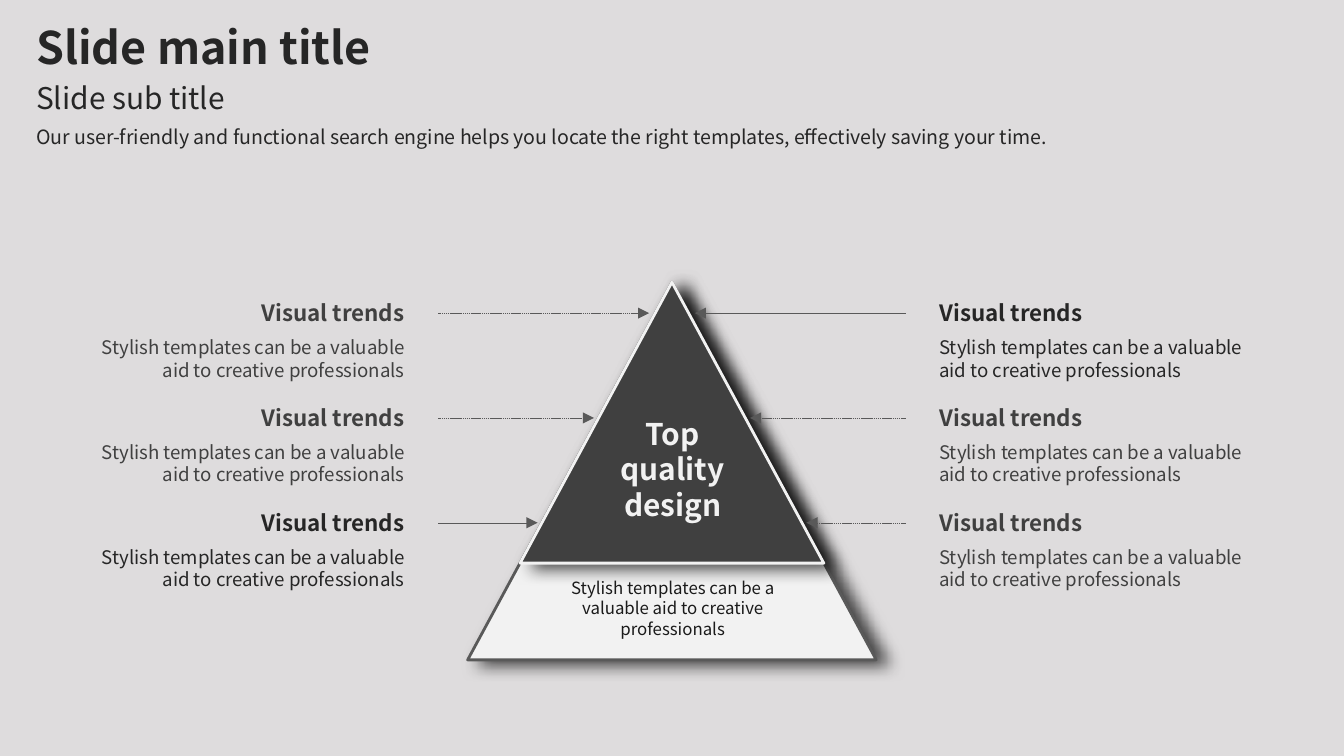
"""Build a pyramid slide with six labelled arrows."""
from lxml import etree
from pptx import Presentation
from pptx import util as u
from pptx.dml.color import RGBColor
from pptx.enum import dml, shapes, text
from pptx.oxml.ns import qn

FONT = "Noto Sans CJK KR"
COLORS = {
    "page": "DEDCDD",
    "pale": "F2F2F2",
    "dark": "404040",
    "strong": "262626",
    "ink": "1B1B1B",
    "line": "595959",
    "shadow": "000000",
}
LEFT, CENTER, RIGHT = text.PP_ALIGN.LEFT, text.PP_ALIGN.CENTER, text.PP_ALIGN.RIGHT
HEADING = "Visual trends"
BODY = "Stylish templates can be a valuable aid to creative professionals"
ROW_TOP, ROW_STEP = 2.25, 0.78
ARROW_REACH = (1.57, 1.16, 0.74)
SIDES = (
    {"edge": 3.01, "start": 3.26, "direction": 1, "align": RIGHT, "strong_row": 2},
    {"edge": 6.99, "start": 6.74, "direction": -1, "align": LEFT, "strong_row": 0},
)


def color(name):
    """Return the named colour."""
    return RGBColor.from_string(COLORS[name])


def add_text(page, words, left, top, width, height, size=10, ink="strong",
             bold=False, align=LEFT, middle=False, spacing=None):
    """Add a text box without margins."""
    box = page.shapes.add_textbox(
        u.Inches(left), u.Inches(top), u.Inches(width), u.Inches(height))
    frame = box.text_frame
    frame.word_wrap = True
    frame.margin_left = frame.margin_right = frame.margin_top = frame.margin_bottom = 0
    frame.vertical_anchor = text.MSO_ANCHOR.MIDDLE if middle else text.MSO_ANCHOR.TOP
    para = frame.paragraphs[0]
    para.alignment = align
    if spacing:
        para.line_spacing = spacing
    span = para.add_run()
    span.text = words
    span.font.name = FONT
    span.font.size = u.Pt(size)
    span.font.bold = bold
    span.font.color.rgb = color(ink)


def add_shadow(shape):
    """Give a shape a soft shadow to its lower right."""
    shape.shadow.inherit = False
    effects = shape._element.spPr.find(qn("a:effectLst"))
    shadow = etree.SubElement(
        effects, qn("a:outerShdw"), blurRad=str(u.Pt(9)), dist=str(u.Pt(6)),
        dir=str(20 * 60000), algn="tl", rotWithShape="0")
    tint = etree.SubElement(shadow, qn("a:srgbClr"), val=COLORS["shadow"])
    etree.SubElement(tint, qn("a:alpha"), val="70000")


def add_triangle(page, width, height, fill, line):
    """Add a triangle whose tip is the top of the pyramid."""
    triangle = page.shapes.add_shape(
        shapes.MSO_SHAPE.ISOSCELES_TRIANGLE, u.Inches(5 - width / 2),
        u.Inches(2.1), u.Inches(width), u.Inches(height))
    triangle.fill.solid()
    triangle.fill.fore_color.rgb = color(fill)
    triangle.line.color.rgb = color(line)
    triangle.line.width = u.Pt(1.5)
    add_shadow(triangle)


def add_arrow(page, start, end, y, dashed):
    """Add a thin level arrow."""
    arrow = page.shapes.add_connector(
        shapes.MSO_CONNECTOR.STRAIGHT, u.Inches(start), u.Inches(y),
        u.Inches(end), u.Inches(y))
    arrow.line.color.rgb = color("line")
    arrow.line.width = u.Pt(0.25)
    if dashed:
        arrow.line.dash_style = dml.MSO_LINE.SQUARE_DOT
    properties = arrow._element.spPr
    etree.SubElement(properties.find(qn("a:ln")), qn("a:tailEnd"), type="triangle")
    etree.SubElement(properties, qn("a:effectLst"))


def add_label(page, side, row):
    """Add a heading, its description and the arrow to the pyramid."""
    top = ROW_TOP + row * ROW_STEP
    strong = row == side["strong_row"]
    ink = "strong" if strong else "dark"
    align = side["align"]
    for words, offset, width, height, style in (
        (HEADING, 0, 2.09, 0.18, {"size": 12, "bold": True, "spacing": 0.9}),
        (BODY, 0.25, 2.26, 0.5, {}),
    ):
        left = side["edge"] - width if align == RIGHT else side["edge"]
        add_text(page, words, left, top + offset, width, height,
                 ink=ink, align=align, **style)
    end = side["start"] + side["direction"] * ARROW_REACH[row]
    add_arrow(page, side["start"], end, top + 0.08, not strong)


def main():
    """Build and save the slide."""
    deck = Presentation()
    deck.slide_width = u.Inches(10)
    deck.slide_height = u.Inches(10 * 9 / 16)
    page = deck.slides.add_slide(deck.slide_layouts[6])
    page.background.fill.solid()
    page.background.fill.fore_color.rgb = color("page")

    add_triangle(page, 3.04, 2.81, "pale", "line")
    add_triangle(page, 2.26, 2.09, "dark", "pale")
    add_text(page, "Top quality design", 4.54, 3.09, 0.93, 0.81,
             size=16, ink="pale", bold=True, align=CENTER)
    add_text(page, BODY, 4.02, 4.3, 1.97, 0.45,
             size=9, ink="ink", align=CENTER, middle=True)

    for side in SIDES:
        for row in range(len(ARROW_REACH)):
            add_label(page, side, row)

    add_text(page, "Our user-friendly and functional search engine helps you locate "
             "the right templates, effectively saving your time.",
             0.27, 0.93, 8.3, 0.18, size=10.5, middle=True)
    add_text(page, "Slide main title", 0.27, 0.15, 8.04, 0.4, size=24, bold=True)
    add_text(page, "Slide sub title", 0.27, 0.59, 8.04, 0.25, size=16)
    deck.save("out.pptx")


if __name__ == "__main__":
    main()
